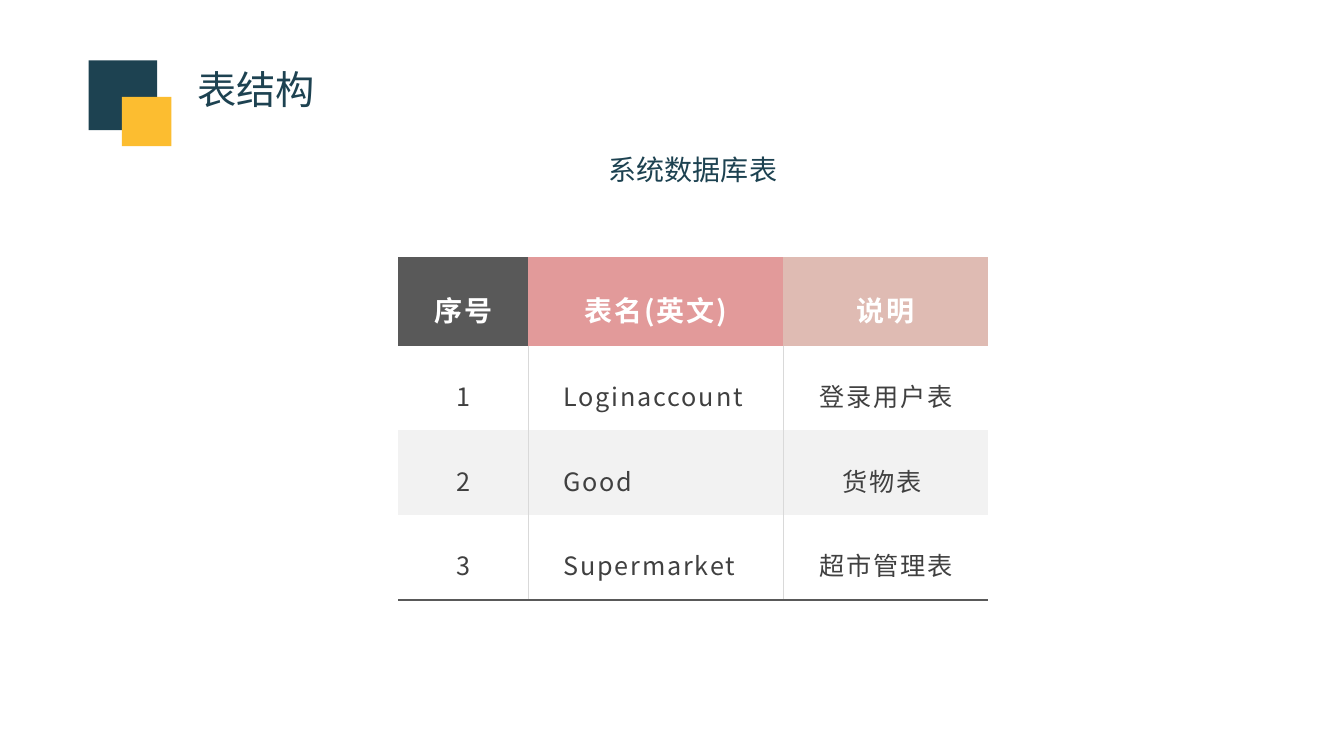
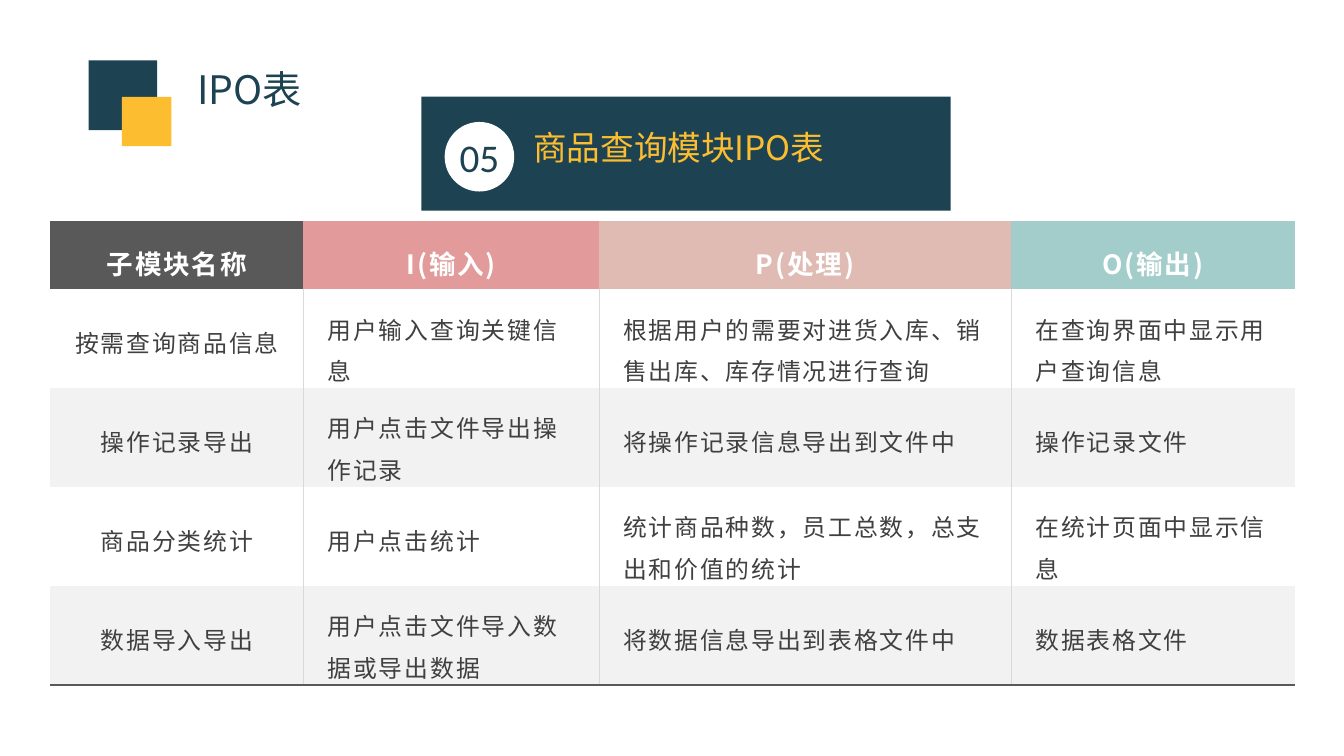
from dataclasses import dataclass

from lxml import etree
from pptx import Presentation
from pptx.dml.color import RGBColor
from pptx.enum.shapes import MSO_SHAPE
from pptx.enum.text import MSO_ANCHOR, PP_ALIGN
from pptx.oxml.ns import qn
from pptx.util import Pt

RECT, OVAL = MSO_SHAPE.RECTANGLE, MSO_SHAPE.OVAL
TOP, MIDDLE = MSO_ANCHOR.TOP, MSO_ANCHOR.MIDDLE
LEFT, CENTER = PP_ALIGN.LEFT, PP_ALIGN.CENTER
EMU_PER_PX = 9144
PLAIN_TABLE = "{2D5ABB26-0587-4C30-8999-92F81FD0307C}"


def px(n):
    return n * EMU_PER_PX


@dataclass(frozen=True)
class Theme:
    navy: str = "1D4251"
    gold: str = "FCBD30"
    white: str = "FFFFFF"
    body: str = "404040"
    band: str = "F2F2F2"
    divider: str = "D9D9D9"
    rule: str = "595959"
    headers: tuple = ("595959", "E29A9A", "DFBBB3", "A3CDCB")
    title_font: str = "Noto Sans CJK JP"
    table_font: str = "Noto Sans CJK SC"
    number_font: str = "Calibri"
    title_size: int = 28
    banner_size: int = 24
    caption_size: int = 20
    spacing: float = 1.3
    leading: float = 1.2


class Deck:
    def __init__(self, theme):
        self.theme = theme
        self.prs = Presentation()
        self.prs.slide_width, self.prs.slide_height = px(1333), px(750)
        self.shapes = None

    def slide(self, title):
        t = self.theme
        s = self.prs.slides.add_slide(self.prs.slide_layouts[6])
        self.shapes = s.shapes
        self.text(title, (186, 60, 352, 57), t.title_size, t.navy, anchor=MIDDLE)
        mark = self.group()
        self.shape(RECT, (88, 60, 68, 69), t.navy, mark)
        self.shape(RECT, (121, 96, 49, 49), t.gold, mark)

    def group(self):
        return self.shapes.add_group_shape().shapes

    def shape(self, kind, box, fill, parent):
        sp = parent.add_shape(kind, *map(px, box))
        sp.shadow.inherit = False
        sp.fill.solid()
        sp.fill.fore_color.rgb = RGBColor.from_string(fill)
        sp.line.fill.background()
        return sp

    def paragraph(self, tf, text, size, color, font, align=LEFT, bold=False):
        p = tf.paragraphs[0]
        p.text = text
        p.alignment = align
        p.font.size = Pt(size)
        p.font.bold = bold
        p.font.color.rgb = RGBColor.from_string(color)
        p.font.name = font
        props = p._p.get_or_add_pPr().get_or_add_defRPr()
        etree.SubElement(props, qn("a:ea"), typeface=font)
        return p, props

    def text(self, text, box, size, color, parent=None, anchor=TOP, wrap=True):
        shapes = self.shapes if parent is None else parent
        tf = shapes.add_textbox(*map(px, box)).text_frame
        tf.word_wrap = wrap
        tf.vertical_anchor = anchor
        self.paragraph(tf, text, size, color, self.theme.title_font)

    def banner(self, number, text):
        t = self.theme
        parent = self.group()
        self.shape(RECT, (418, 96, 525, 113), t.navy, parent)
        tf = self.shape(OVAL, (441, 121, 69, 69), t.white, parent).text_frame
        tf.margin_left = tf.margin_right = tf.margin_top = tf.margin_bottom = 0
        tf.vertical_anchor = MIDDLE
        self.paragraph(tf, number, t.title_size, t.navy, t.number_font, CENTER)
        self.text(text, (519, 121, 333, 50), t.banner_size, t.gold, parent)

    def borders(self, cell, lines):
        tc_pr = cell._tc.get_or_add_tcPr()
        for i, (side, color, width) in enumerate(lines):
            ln = etree.Element(qn(f"a:ln{side}"), w=str(int(Pt(width))))
            fill = etree.SubElement(ln, qn("a:solidFill"))
            etree.SubElement(fill, qn("a:srgbClr"), val=color)
            tc_pr.insert(i, ln)

    def cell(self, cell, text, size, color, fill, align, bold, margins):
        t = self.theme
        cell.fill.solid()
        cell.fill.fore_color.rgb = RGBColor.from_string(fill)
        cell.vertical_anchor = MIDDLE
        cell.margin_left = cell.margin_right = px(margins[0])
        cell.margin_top = cell.margin_bottom = px(margins[1])
        p, props = self.paragraph(cell.text_frame, text, size, color, t.table_font, align, bold)
        p.line_spacing = t.leading
        props.set("spc", str(round(t.spacing * 100)))

    def table(self, origin, widths, heights, rows, sizes, margins, centered):
        t = self.theme
        box = (*origin, sum(widths), sum(heights))
        tbl = self.shapes.add_table(len(rows), len(widths), *map(px, box)).table
        tbl.horz_banding = tbl.first_row = False
        tbl._tbl.tblPr.find(qn("a:tableStyleId")).text = PLAIN_TABLE
        for col, width in zip(tbl.columns, widths):
            col.width = px(width)
        last_row, last_col = len(rows) - 1, len(widths) - 1
        for i, row in enumerate(rows):
            tbl.rows[i].height = px(heights[i])
            head = i == 0
            for j, text in enumerate(row):
                fill = t.headers[j] if head else t.white if i % 2 else t.band
                align = CENTER if head or j in centered else LEFT
                cell = tbl.cell(i, j)
                self.cell(cell, text, sizes[0] if head else sizes[1],
                          t.white if head else t.body, fill, align, head, margins)
                lines = []
                if not head and j > 0:
                    lines.append(("L", t.divider, 1 if j == 1 else 0.5))
                if not head and j < last_col:
                    lines.append(("R", t.divider, 1 if j == 0 else 0.5))
                if i == last_row:
                    lines.append(("B", t.rule, 1.5))
                self.borders(cell, lines)


def main():
    theme = Theme()
    deck = Deck(theme)

    deck.slide("表结构")
    deck.text("系统数据库表", (594, 146, 187, 44), theme.caption_size, theme.navy, wrap=False)
    database_tables = [
        ("序号", "表名(英文)", "说明"),
        ("1", "Loginaccount", "登录用户表"),
        ("2", "Good", "货物表 "),
        ("3", "Supermarket", "超市管理表"),
    ]
    deck.table((395, 255), (129, 253, 203), [87] + [83] * 3, database_tables,
               (20, 18), (35, 24), centered=(0, 2))

    deck.slide("IPO表")
    query_module = [
        ("子模块名称", "I(输入)", "P(处理)", "O(输出)"),
        ("按需查询商品信息", "用户输入查询关键信息",
         "根据用户的需要对进货入库、销售出库、库存情况进行查询", "在查询界面中显示用户查询信息"),
        ("操作记录导出", "用户点击文件导出操作记录",
         "将操作记录信息导出到文件中", "操作记录文件"),
        ("商品分类统计", "用户点击统计",
         "统计商品种数，员工总数，总支出和价值的统计", "在统计页面中显示信息"),
        ("数据导入导出", "用户点击文件导入数据或导出数据",
         "将数据信息导出到表格文件中", "数据表格文件"),
    ]
    deck.table((50, 219), (251, 293, 409, 281), [67] + [97] * 4, query_module,
               (19, 17), (24, 15), centered=(0,))
    deck.banner("05", "商品查询模块IPO表")

    deck.prs.save("out.pptx")


if __name__ == "__main__":
    main()
